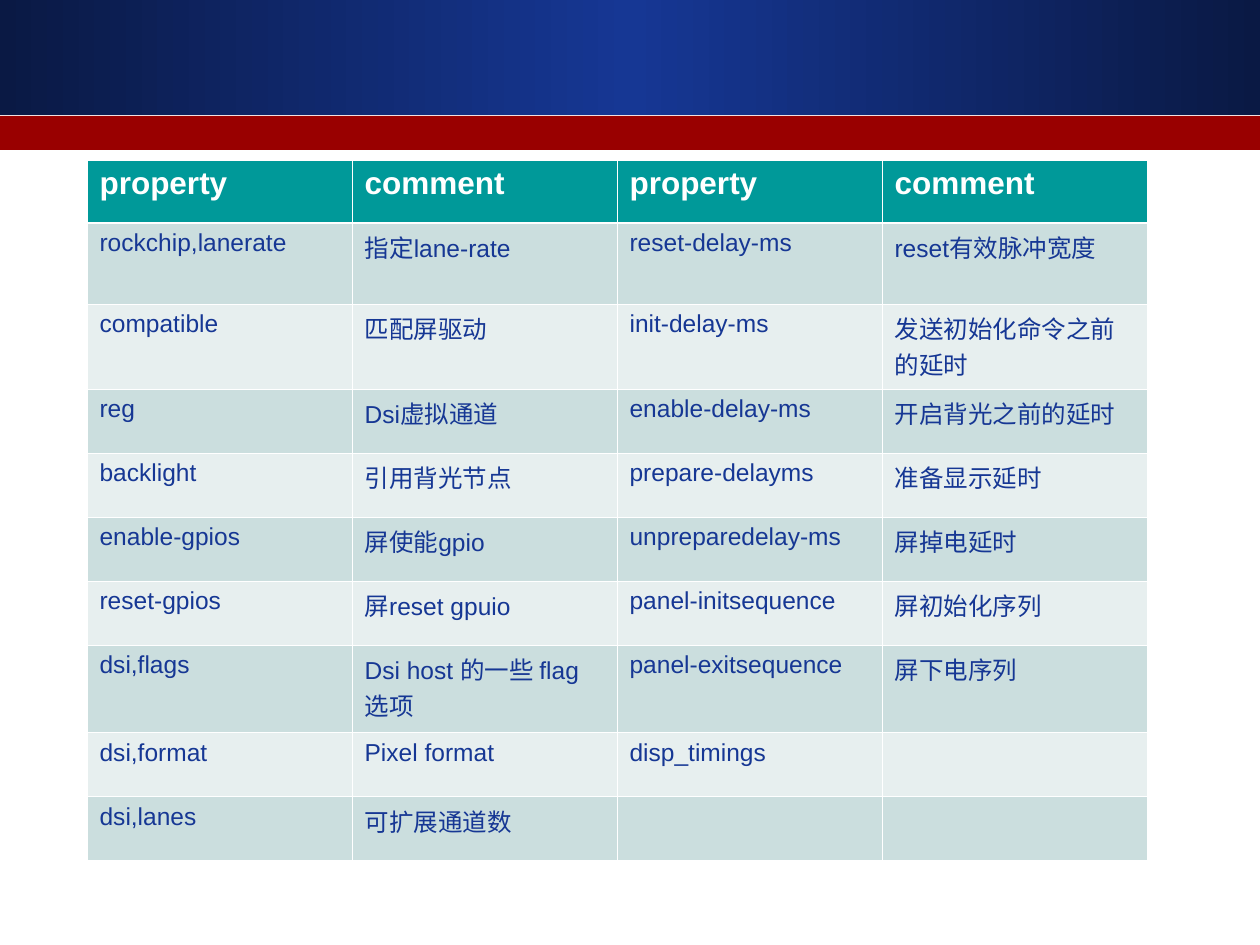
import copy
from typing import NamedTuple

import pptx
import pptx.dml.color
import pptx.enum.shapes
import pptx.oxml
import pptx.oxml.ns
import pptx.util

EMU_PER_PX = 914400 / 126
NAVY, BLUE, RED, WHITE = "0A1944", "163794", "990000", "FFFFFF"
TEAL, DARK_STRIPE, LIGHT_STRIPE = "009999", "CBDEDE", "E7EFEF"
THIN_RULE, HEADER_RULE = 0.45, 1.47

TABLE_LEFT, TABLE_TOP, COLUMN_WIDTH = 87, 160, 265
ROW_HEIGHT = 64
SPECIAL_HEIGHTS = {0: 63, 1: 81, 2: 85, 7: 88}

PROPERTIES = [
    ("property", "comment", "property", "comment"),
    ("rockchip,lanerate", "指定lane-rate", "reset-delay-ms", "reset有效脉冲宽度"),
    ("compatible", "匹配屏驱动", "init-delay-ms", "发送初始化命令之前的延时"),
    ("reg", "Dsi虚拟通道", "enable-delay-ms", "开启背光之前的延时"),
    ("backlight", "引用背光节点", "prepare-delayms", "准备显示延时"),
    ("enable-gpios", "屏使能gpio", "unpreparedelay-ms", "屏掉电延时"),
    ("reset-gpios", "屏reset gpuio", "panel-initsequence", "屏初始化序列"),
    ("dsi,flags", "Dsi host 的一些 flag 选项", "panel-exitsequence", "屏下电序列"),
    ("dsi,format", "Pixel format", "disp_timings", ""),
    ("dsi,lanes", "可扩展通道数", "", ""),
]


class Band(NamedTuple):
    top: int
    height: int
    colors: tuple[str, ...]


class CellStyle(NamedTuple):
    fill: str
    color: str
    size: int
    bold: bool
    top_rule: float
    bottom_rule: float


BANDS = [Band(0, 115, (NAVY, BLUE, NAVY)), Band(116, 34, (RED,))]


def px(length: int) -> pptx.util.Emu:
    return pptx.util.Emu(round(length * EMU_PER_PX))


def rgb(color: str) -> pptx.dml.color.RGBColor:
    return pptx.dml.color.RGBColor.from_string(color)


def fill_three_stops(fill, colors: tuple[str, ...]) -> None:
    """Left-to-right gradient with its second colour in the middle."""
    fill.gradient()
    fill.gradient_angle = 0
    first_stop = fill.gradient_stops[0]._gs
    first_stop.addnext(copy.deepcopy(first_stop))
    for stop, color, position in zip(fill.gradient_stops, colors, (0, 0.5, 1)):
        stop.color.rgb = rgb(color)
        stop.position = position


def draw_band(slide, band: Band, width: int) -> None:
    shape = slide.shapes.add_shape(
        pptx.enum.shapes.MSO_SHAPE.RECTANGLE, 0, px(band.top), px(width), px(band.height))
    shape.shadow.inherit = False
    shape.line.fill.background()
    if len(band.colors) == 1:
        shape.fill.solid()
        shape.fill.fore_color.rgb = rgb(band.colors[0])
    else:
        fill_three_stops(shape.fill, band.colors)


def set_borders(cell, style: CellStyle) -> None:
    properties = cell._tc.get_or_add_tcPr()
    rules = {"lnL": THIN_RULE, "lnR": THIN_RULE,
             "lnT": style.top_rule, "lnB": style.bottom_rule}
    for index, (side, points) in enumerate(rules.items()):
        border = pptx.oxml.parse_xml(
            f'<a:{side} {pptx.oxml.ns.nsdecls("a")} w="{pptx.util.Pt(points)}">'
            f'<a:solidFill><a:srgbClr val="{WHITE}"/></a:solidFill></a:{side}>')
        properties.insert(index, border)


def fill_cell(cell, text: str, style: CellStyle) -> None:
    cell.fill.solid()
    cell.fill.fore_color.rgb = rgb(style.fill)
    set_borders(cell, style)
    if text:
        run = cell.text_frame.paragraphs[0].add_run()
        run.text = text
        run.font.name = "Arial"
        run.font.size = pptx.util.Pt(style.size)
        run.font.bold = style.bold
        run.font.color.rgb = rgb(style.color)


def row_style(row: int) -> CellStyle:
    if row == 0:
        return CellStyle(TEAL, WHITE, 18, True, THIN_RULE, HEADER_RULE)
    stripe = DARK_STRIPE if row % 2 else LIGHT_STRIPE
    top_rule = HEADER_RULE if row == 1 else THIN_RULE
    return CellStyle(stripe, BLUE, 14, False, top_rule, THIN_RULE)


def draw_property_table(slide) -> None:
    heights = [SPECIAL_HEIGHTS.get(row, ROW_HEIGHT) for row in range(len(PROPERTIES))]
    column_count = len(PROPERTIES[0])
    table = slide.shapes.add_table(
        len(PROPERTIES), column_count, px(TABLE_LEFT), px(TABLE_TOP),
        px(COLUMN_WIDTH * column_count), px(sum(heights))).table
    for column in table.columns:
        column.width = px(COLUMN_WIDTH)
    for row, (texts, height) in enumerate(zip(PROPERTIES, heights)):
        table.rows[row].height = px(height)
        for column, text in enumerate(texts):
            fill_cell(table.cell(row, column), text, row_style(row))


def main() -> None:
    slide_width, slide_height = 1260, 945
    presentation = pptx.Presentation()
    presentation.slide_width = px(slide_width)
    presentation.slide_height = px(slide_height)
    slide = presentation.slides.add_slide(presentation.slide_layouts[6])
    for band in BANDS:
        draw_band(slide, band, slide_width)
    draw_property_table(slide)
    presentation.save("out.pptx")


if __name__ == "__main__":
    main()
